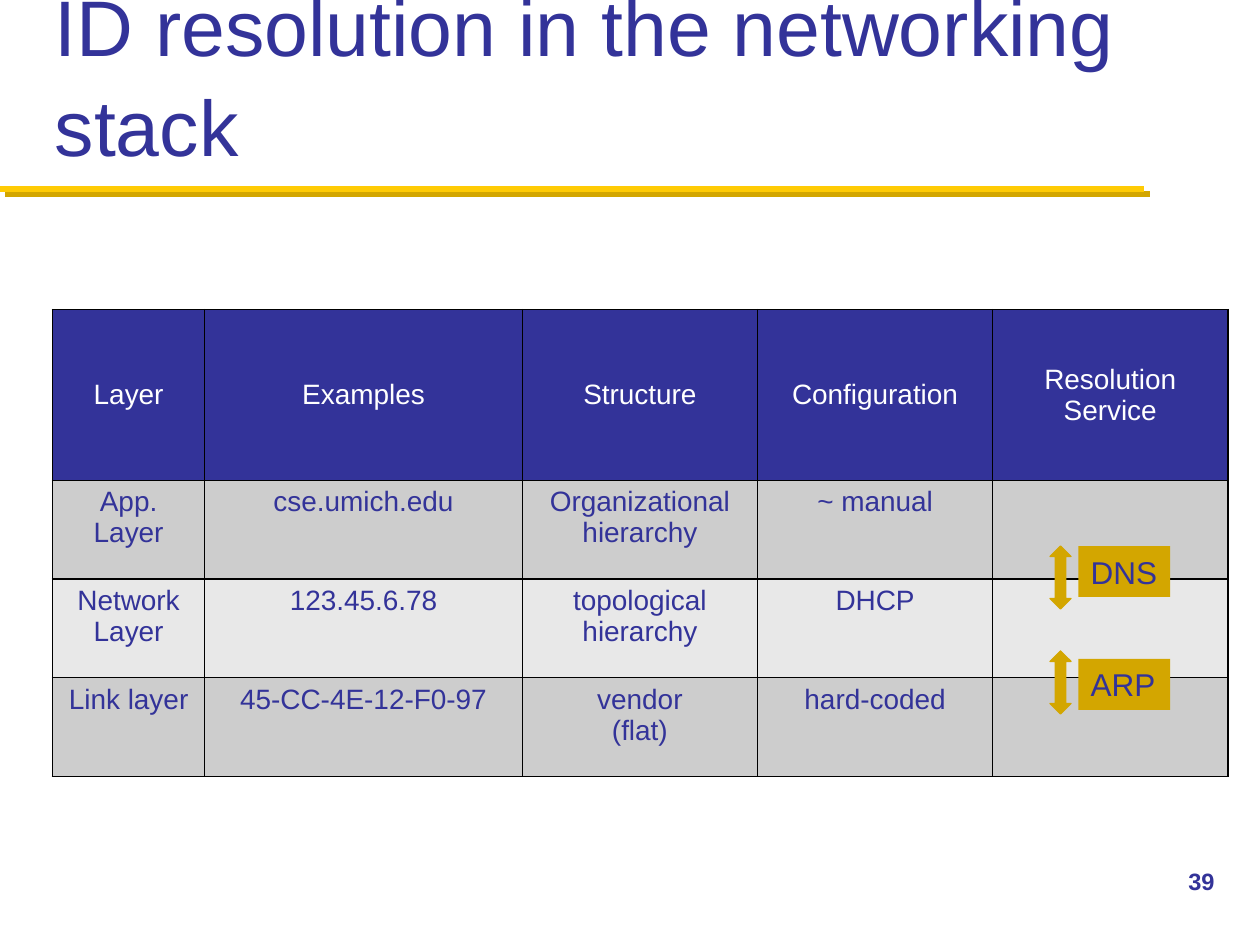
from lxml.etree import SubElement
from pptx import Presentation
from pptx.dml.color import RGBColor
from pptx.enum.shapes import MSO_CONNECTOR, MSO_SHAPE
from pptx.enum.text import MSO_ANCHOR, MSO_AUTO_SIZE, PP_ALIGN
from pptx.oxml import parse_xml
from pptx.oxml.ns import nsdecls, qn
from pptx.util import Inches, Pt

BLUE = RGBColor(0x33, 0x33, 0x99)
WHITE = RGBColor(0xFF, 0xFF, 0xFF)
YELLOW = RGBColor(0xFF, 0xCB, 0x05)
GOLD = RGBColor(0xD3, 0xA6, 0x00)
GREY = RGBColor(0xCD, 0xCD, 0xCD)
LIGHT_GREY = RGBColor(0xE8, 0xE8, 0xE8)

deck = Presentation()
deck.slide_width = Inches(10)
deck.slide_height = Inches(7.5)
page = deck.slides.add_slide(deck.slide_layouts[5])


def grid(*steps):
    return [round(step * deck.slide_width / 120) for step in steps]


def style(para, size, color, bold=False):
    para.font.name = "Arial"
    para.font.size = Pt(size)
    para.font.color.rgb = color
    para.font.bold = bold


rule = page.shapes.add_connector(MSO_CONNECTOR.STRAIGHT, *grid(0, 18, 109, 18))
rule.line.color.rgb = YELLOW
rule.line.width = Pt(3.5)
rule._element.spPr.append(parse_xml(
    f'<a:effectLst {nsdecls("a")}><a:outerShdw dist="53340" dir="2700000">'
    f'<a:srgbClr val="{GOLD}"/></a:outerShdw></a:effectLst>'))

title = page.shapes.title
title.left, title.top, title.width, title.height = grid(4, 2, 112, 15)
title.text_frame.text = "ID resolution in the networking stack"
title.text_frame.auto_size = MSO_AUTO_SIZE.NONE
title.text_frame.vertical_anchor = MSO_ANCHOR.BOTTOM
title_para = title.text_frame.paragraphs[0]
title_para.alignment = PP_ALIGN.LEFT
title_para.line_spacing = 1.06
style(title_para, 45, BLUE)

rows = [
    ["Layer", "Examples", "Structure", "Configuration", "Resolution\nService"],
    ["App.\nLayer", "cse.umich.edu", "Organizational hierarchy", "~ manual", ""],
    ["Network\vLayer", "123.45.6.78", "topological hierarchy", "DHCP", ""],
    ["Link layer", "45-CC-4E-12-F0-97", "vendor\v(flat)", "hard-coded", ""],
]
row_fills = [BLUE, GREY, LIGHT_GREY, GREY]
column_widths = grid(14.5, 30.25, 22.4, 22.4, 22.4)
row_heights = grid(16.25, 9.4, 9.4, 9.4)
table = page.shapes.add_table(
    len(rows), len(column_widths), *grid(5, 29.5),
    sum(column_widths), sum(row_heights)).table
for column, width in zip(table.columns, column_widths):
    column.width = width
for row, height in zip(table.rows, row_heights):
    row.height = height

for row_index, (texts, fill) in enumerate(zip(rows, row_fills)):
    header = row_index == 0
    for column_index, text in enumerate(texts):
        cell = table.cell(row_index, column_index)
        cell.text = text
        cell.vertical_anchor = MSO_ANCHOR.MIDDLE if header else MSO_ANCHOR.TOP
        for para in cell.text_frame.paragraphs:
            para.alignment = PP_ALIGN.CENTER
            style(para, 16, WHITE if header else BLUE)
        properties = cell._tc.get_or_add_tcPr()
        for side in ("a:lnL", "a:lnR", "a:lnT", "a:lnB"):
            border = SubElement(properties, qn(side), w=str(Pt(1)))
            border_fill = SubElement(border, qn("a:solidFill"))
            SubElement(border_fill, qn("a:srgbClr"), val="000000")
        cell.fill.solid()
        cell.fill.fore_color.rgb = fill

number = page.shapes.add_textbox(*grid(112, 82, 8, 6))
number.text_frame.word_wrap = True
number.text_frame.text = "39"
style(number.text_frame.paragraphs[0], 13.5, BLUE, bold=True)

for service, arrow_top, label_top in [("DNS", 52, 52), ("ARP", 62, 62.75)]:
    arrow = page.shapes.add_shape(
        MSO_SHAPE.UP_DOWN_ARROW, *grid(100, arrow_top, 2, 6))
    label = page.shapes.add_shape(
        MSO_SHAPE.RECTANGLE, *grid(102.7, label_top, 8.75, 4.85))
    for shape in (arrow, label):
        shape.shadow.inherit = False
        shape.fill.solid()
        shape.fill.fore_color.rgb = GOLD
    arrow.line.color.rgb = GOLD
    arrow.line.width = Pt(0.75)
    label.line.fill.background()
    label.text_frame.text = service
    label.text_frame.word_wrap = False
    label.text_frame.auto_size = MSO_AUTO_SIZE.SHAPE_TO_FIT_TEXT
    label_para = label.text_frame.paragraphs[0]
    label_para.alignment = PP_ALIGN.LEFT
    style(label_para, 18, BLUE)

deck.save("out.pptx")
